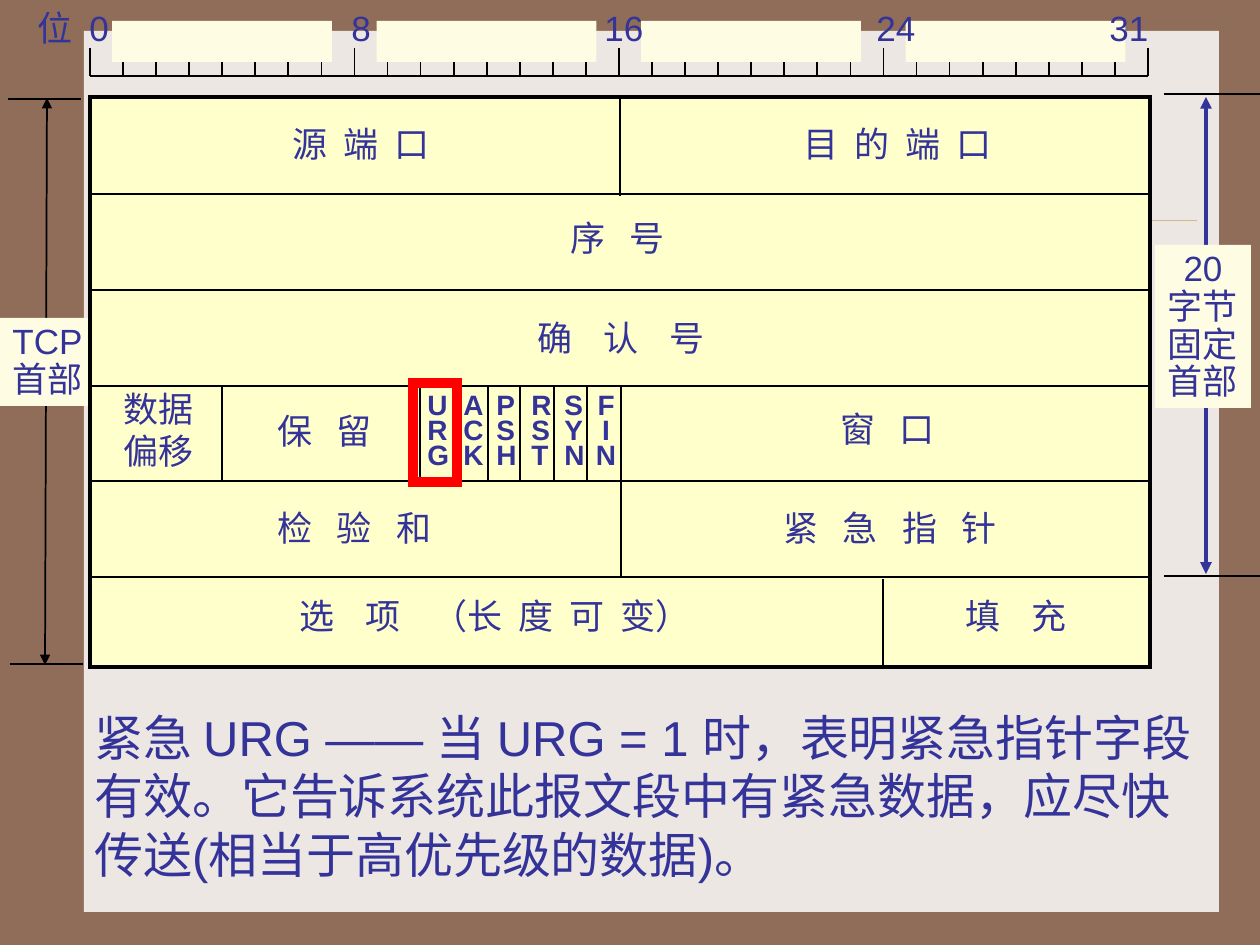
from pptx import Presentation
from pptx import util as u
from pptx.dml.color import RGBColor
from pptx.enum import shapes, text
from pptx.oxml.ns import qn
from lxml import etree

PX = 914400 / 126
INK, BLACK, CREAM = "333399", "000000", "FEFDE3"
MID, LEFT = text.PP_ALIGN.CENTER, text.PP_ALIGN.LEFT

# Header frame and its dividers
FRAME = (90, 97, 1060, 570)
ROW_LINES = [194, 290, 386, 481, 577]
COLUMN_LINES = [  # x, top, bottom
    (620, 97, 196), (621, 386, 577), (222, 386, 482), (883, 579, 667),
]
FLAG_LINES = [420, 454, 488, 520, 554, 587]
FLAG_TOP, FLAG_BOTTOM = 386, 481

# Field labels: box, then (words, letter spacing in points) per run
NARROW, MEDIUM, BROAD = 2.3, 4.7, 6.7
FIELDS = [
    ((280, 116, 220, 54), [("源 端 口", NARROW)]),
    ((791, 116, 270, 54), [("目 的 端 口", NARROW)]),
    ((558, 210, 190, 54), [("序 号", MEDIUM)]),
    ((525, 310, 253, 54), [("确 认 号", BROAD)]),
    ((265, 403, 150, 54), [("保 留", MEDIUM)]),
    ((828, 401, 180, 54), [("窗 口", MEDIUM)]),
    ((265, 500, 240, 54), [("检 验 和", MEDIUM)]),
    ((771, 500, 300, 54), [("紧 急 指 针", MEDIUM)]),
    ((287, 588, 520, 54), [("选 项 ", BROAD), ("（", 0),
                           ("长 度 可 ", NARROW), ("变）", 0)]),
    ((953, 588, 190, 54), [("填 充", BROAD)]),
]
OFFSET_FIELD = ((111, 381, 96, 96), ["数据", "偏移"])
FLAGS = [("URG", 415), ("ACK", 451), ("PSH", 484),
         ("RST", 519), ("SYN", 552), ("FIN", 583)]

# Bit ruler
RULER_LEFT, RULER_RIGHT, RULER_Y, BITS = 90, 1148, 76, 32
BIT_LABELS = [("0", 52), ("8", 314), ("16", 567), ("24", 839), ("31", 1072)]

# Side dimensions
TOTAL = ((0, 318, 96, 88), ["TCP", "首部"])
FIXED = ((1155, 245, 96, 163), ["20", "字节", "固定", "首部"])
LIMITS = [(8, 99, 81), (10, 664, 83), (1164, 94, 1260), (1164, 576, 1260)]

BODY = ("紧急 URG —— 当 URG = 1 时，表明紧急指针字段有效。"
        "它告诉系统此报文段中有紧急数据，应尽快传送(相当于高优先级的数据)。")


def px(value):
    return u.Emu(round(value * PX))


def rgb(color):
    return RGBColor.from_string(color)


def add_rect(slide, box, fill=None, line=None, width=1):
    """Add a rectangle; an outline gets square corners."""
    shape = slide.shapes.add_shape(shapes.MSO_SHAPE.RECTANGLE, *map(px, box))
    shape.shadow.inherit = False
    if fill:
        shape.fill.solid()
        shape.fill.fore_color.rgb = rgb(fill)
    else:
        shape.fill.background()
    if line:
        shape.line.color.rgb = rgb(line)
        shape.line.width = u.Pt(width)
        outline = shape._element.spPr.find(qn("a:ln"))
        etree.SubElement(outline, qn("a:miter"), lim="800000")
    else:
        shape.line.fill.background()
    return shape


def add_line(slide, start, end, color=BLACK, width=1, arrows=False):
    line = slide.shapes.add_connector(
        shapes.MSO_CONNECTOR.STRAIGHT, *map(px, start + end))
    line.line.color.rgb = rgb(color)
    line.line.width = u.Pt(width)
    properties = line._element.spPr
    if arrows:
        outline = properties.find(qn("a:ln"))
        for tag in ("a:headEnd", "a:tailEnd"):
            etree.SubElement(outline, qn(tag), type="triangle")
    etree.SubElement(properties, qn("a:effectLst"))


def write(shape, paragraphs, size=20, bold=False, align=LEFT, leading=1.0, wrap=False):
    """Fill a shape with paragraphs, each a list of (words, letter spacing)."""
    frame = shape.text_frame
    frame.word_wrap = wrap
    frame.vertical_anchor = text.MSO_ANCHOR.TOP
    for index, runs in enumerate(paragraphs):
        paragraph = frame.add_paragraph() if index else frame.paragraphs[0]
        paragraph.alignment = align
        paragraph.line_spacing = leading
        for words, spacing in runs:
            run = paragraph.add_run()
            run.text = words
            run.font.name = "Arial"
            run.font.size = u.Pt(size)
            run.font.bold = bold
            run.font.color.rgb = rgb(INK)
            if spacing:
                run._r.get_or_add_rPr().set("spc", str(round(spacing * 100)))


def add_text(slide, box, paragraphs, **style):
    write(slide.shapes.add_textbox(*map(px, box)), paragraphs, **style)


def plain(lines):
    return [[(line, 0)] for line in lines]


def draw_sides(slide):
    add_line(slide, (47, 98), (45, 665), arrows=True)
    box, lines = TOTAL
    write(add_rect(slide, box, CREAM), plain(lines), leading=0.9)
    add_line(slide, (1206, 97), (1206, 574), INK, 2.25, arrows=True)
    box, lines = FIXED
    write(add_rect(slide, box, CREAM), plain(lines), align=MID, leading=0.9)
    for left, y, right in LIMITS:
        add_line(slide, (left, y), (right, y))


def draw_header(slide):
    add_rect(slide, FRAME, "FFFFCC", BLACK, 2)
    left, right = FRAME[0], FRAME[0] + FRAME[2]
    for y in ROW_LINES:
        add_line(slide, (left, y), (right, y))
    flag_columns = [(x, FLAG_TOP, FLAG_BOTTOM) for x in FLAG_LINES]
    for x, top, bottom in COLUMN_LINES + flag_columns:
        add_line(slide, (x, top), (x, bottom))
    for box, runs in FIELDS:
        add_text(slide, box, [runs], wrap=True)
    box, lines = OFFSET_FIELD
    add_text(slide, box, plain(lines))
    for name, x in FLAGS:
        add_text(slide, (x, 389, 46, 88), plain(name), size=16, bold=True,
                 align=MID if name == "FIN" else LEFT, leading=0.75)


def draw_ruler(slide):
    add_line(slide, (RULER_LEFT, RULER_Y), (RULER_RIGHT, RULER_Y))
    step = (RULER_RIGHT - RULER_LEFT) / BITS
    for bit in range(BITS + 1):
        x = RULER_LEFT + bit * step
        add_line(slide, (x, 34 if bit % 8 else 48), (x, RULER_Y))
    for byte in range(BITS // 8):
        add_rect(slide, (112 + byte * 8 * step, 21, 220, 41), CREAM)

    labels = slide.shapes.add_textbox(*map(px, (25, 0, 1160, 54)))
    properties = labels.text_frame.paragraphs[0]._p.get_or_add_pPr()
    tabs = etree.SubElement(properties, qn("a:tabLst"))
    for _, position in BIT_LABELS:
        etree.SubElement(tabs, qn("a:tab"), pos=str(px(position)), algn="l")
    runs = [("位", 0)] + [("\t" + label, 0) for label, _ in BIT_LABELS]
    write(labels, [runs], wrap=True)


def main():
    presentation = Presentation()
    presentation.slide_width, presentation.slide_height = px(1260), px(945)
    slide = presentation.slides.add_slide(presentation.slide_layouts[6])
    slide.background.fill.solid()
    slide.background.fill.fore_color.rgb = rgb("906D58")
    add_rect(slide, (84, 31, 1135, 881), "EDE7E3")
    add_line(slide, (140, 220), (1197, 220), "CBBD83", 0.25)
    draw_sides(slide)
    draw_header(slide)
    draw_ruler(slide)
    add_text(slide, (82, 701, 1124, 189), plain([BODY]), size=28, wrap=True)
    add_rect(slide, (413, 383, 44, 99), line="FF0000", width=6)
    presentation.save("out.pptx")


if __name__ == "__main__":
    main()
